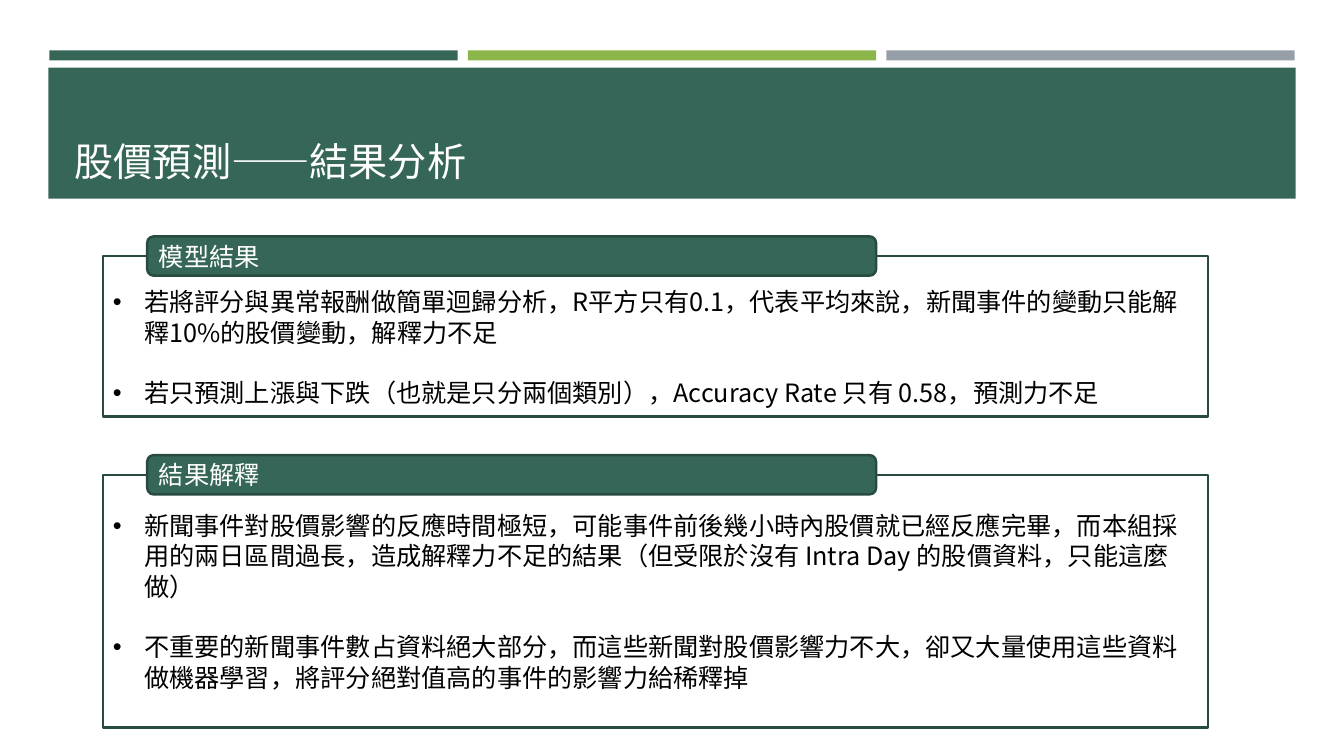
from lxml.etree import SubElement
from pptx import Presentation
from pptx.dml.color import RGBColor
from pptx.enum.shapes import MSO_SHAPE
from pptx.enum.text import MSO_ANCHOR, MSO_AUTO_SIZE, PP_ALIGN
from pptx.oxml.ns import qn
from pptx.util import Inches, Pt

# Content
TITLE = "股價預測——結果分析"
SECTIONS = [
    {
        "heading": "模型結果",
        "frame_top": 2.54, "frame_height": 1.59,
        "list_top": 2.79, "list_height": 1.62,
        "points": [
            "若將評分與異常報酬做簡單迴歸分析，R平方只有0.1，代表平均來說，新聞事件的變動只能解釋10%的股價變動，解釋力不足",
            "若只預測上漲與下跌（也就是只分兩個類別），Accuracy Rate 只有 0.58，預測力不足",
        ],
    },
    {
        "heading": "結果解釋",
        "frame_top": 4.71, "frame_height": 2.51,
        "list_top": 5.01, "list_height": 1.92,
        "points": [
            "新聞事件對股價影響的反應時間極短，可能事件前後幾小時內股價就已經反應完畢，而本組採用的兩日區間過長，造成解釋力不足的結果（但受限於沒有 Intra Day 的股價資料，只能這麼做）",
            "不重要的新聞事件數占資料絕大部分，而這些新聞對股價影響力不大，卻又大量使用這些資料做機器學習，將評分絕對值高的事件的影響力給稀釋掉",
        ],
    },
]

# Style
GREEN, DARK_GREEN, WHITE, BLACK = "366658", "284B41", "FFFFFF", "000000"
STRIPE_COLORS = [GREEN, "8CB64A", "969FA7"]
CJK_FONT, HEADING_FONT = "Noto Sans CJK TC", "Calibri"
LINE_PITCH = Pt(21.7)
STRIPE_LEFT, STRIPE_WIDTH, STRIPE_STEP = 0.49, 4.05, 4.15
FRAME_LEFT, FRAME_WIDTH = 1.02, 10.96
TAB_LEFT, TAB_WIDTH, TAB_HEIGHT = 1.46, 7.23, 0.39


def rgb(color):
    return RGBColor.from_string(color)


def place(item, left, top, width, height):
    item.left, item.top = Inches(left), Inches(top)
    item.width, item.height = Inches(width), Inches(height)


def add_panel(kind, box, fill=None, line=None):
    panel = slide.shapes.add_shape(kind, *map(Inches, box))
    panel.shadow.inherit = False
    if fill:
        panel.fill.solid()
        panel.fill.fore_color.rgb = rgb(fill)
    else:
        panel.fill.background()
    if line:
        panel.line.color.rgb = rgb(line)
        panel.line.width = Pt(1.75)
    else:
        panel.line.fill.background()
    return panel


def add_text(paragraph, text, size, color, font=CJK_FONT):
    paragraph.alignment = PP_ALIGN.LEFT
    run = paragraph.add_run()
    run.text = text
    run.font.size = Pt(size)
    run.font.name = font
    run.font.color.rgb = rgb(color)
    SubElement(run.font._element, qn("a:ea")).set("typeface", CJK_FONT)


def set_bullet(paragraph):
    properties = paragraph._p.get_or_add_pPr()
    properties.set("marL", str(Inches(0.31)))
    properties.set("indent", str(-Inches(0.31)))
    SubElement(properties, qn("a:buFont")).set("typeface", "Arial")
    SubElement(properties, qn("a:buChar")).set("char", "•")


def bring_to_front(item):
    item.element.getparent().append(item.element)


prs = Presentation()
prs.slide_width, prs.slide_height = Inches(13.33), Inches(7.5)
slide = prs.slides.add_slide(prs.slide_layouts[3])
title, *point_lists = slide.placeholders

# Stripes and title banner
for column, color in enumerate(STRIPE_COLORS):
    left = STRIPE_LEFT + column * STRIPE_STEP
    add_panel(MSO_SHAPE.RECTANGLE, (left, 0.5, STRIPE_WIDTH, 0.1), color)
add_panel(MSO_SHAPE.RECTANGLE, (0.48, 0.67, 12.37, 1.3), GREEN)

# Title
place(title, 0.64, 0.77, 12.06, 1.11)
title.text_frame.auto_size = MSO_AUTO_SIZE.NONE
title.text_frame.vertical_anchor = MSO_ANCHOR.BOTTOM
add_text(title.text_frame.paragraphs[0], TITLE, 28, WHITE)
bring_to_front(title)

# Framed sections
for section, points in zip(SECTIONS, point_lists):
    place(points, FRAME_LEFT, section["list_top"], 10.83, section["list_height"])
    body = points.text_frame
    body.auto_size = MSO_AUTO_SIZE.NONE
    body.vertical_anchor = MSO_ANCHOR.TOP
    for number, point in enumerate(section["points"]):
        paragraph = body.add_paragraph() if number else body.paragraphs[0]
        set_bullet(paragraph)
        paragraph.line_spacing = LINE_PITCH
        paragraph.space_before = LINE_PITCH if number else Pt(0)
        add_text(paragraph, point, 18, BLACK)
    bring_to_front(points)

    top = section["frame_top"]
    add_panel(MSO_SHAPE.RECTANGLE,
              (FRAME_LEFT, top, FRAME_WIDTH, section["frame_height"]), line=DARK_GREEN)
    tab = add_panel(MSO_SHAPE.ROUNDED_RECTANGLE,
                    (TAB_LEFT, top - TAB_HEIGHT / 2, TAB_WIDTH, TAB_HEIGHT),
                    GREEN, DARK_GREEN)
    tab.text_frame.vertical_anchor = MSO_ANCHOR.MIDDLE
    add_text(tab.text_frame.paragraphs[0], section["heading"], 18, WHITE, HEADING_FONT)

prs.save("out.pptx")
